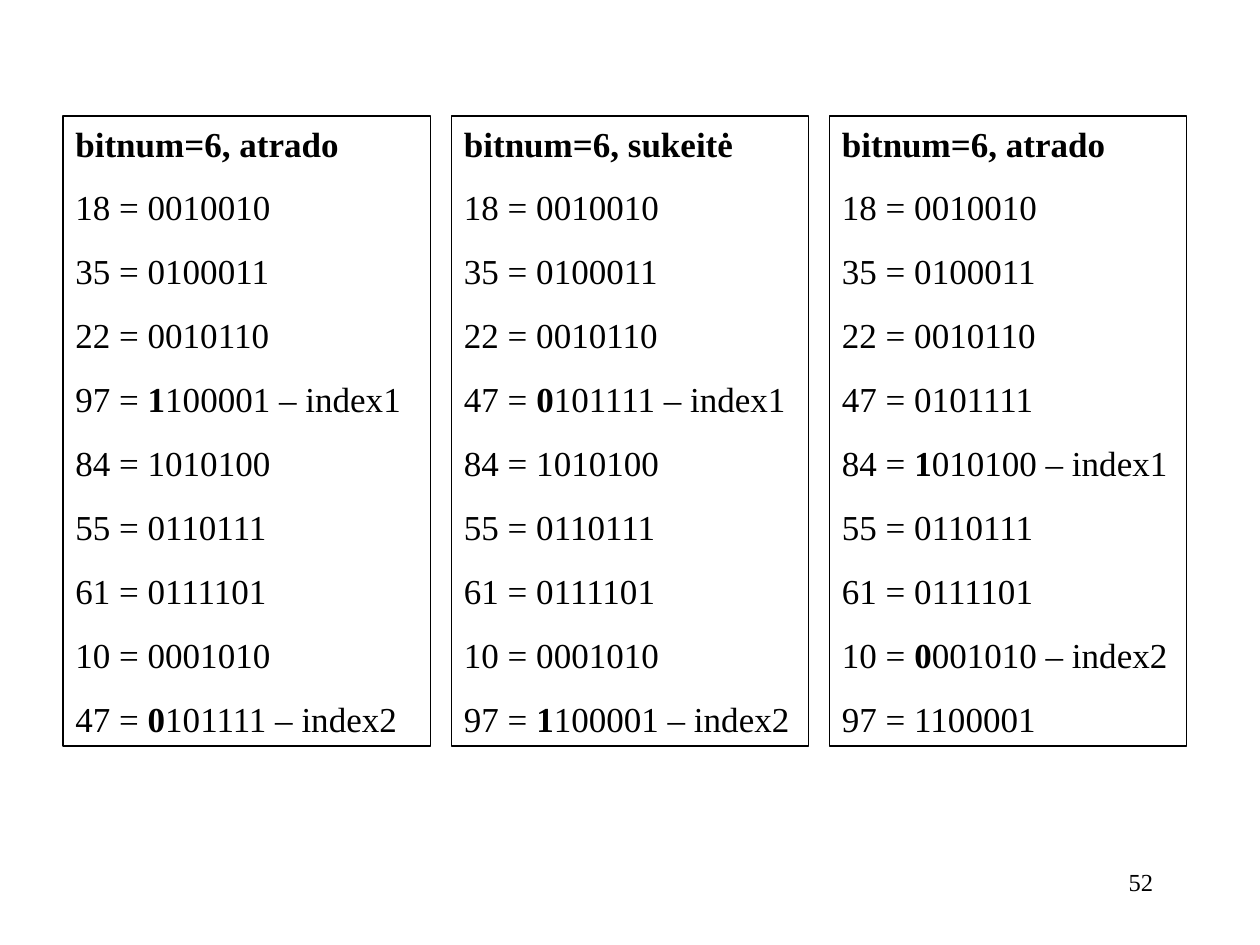
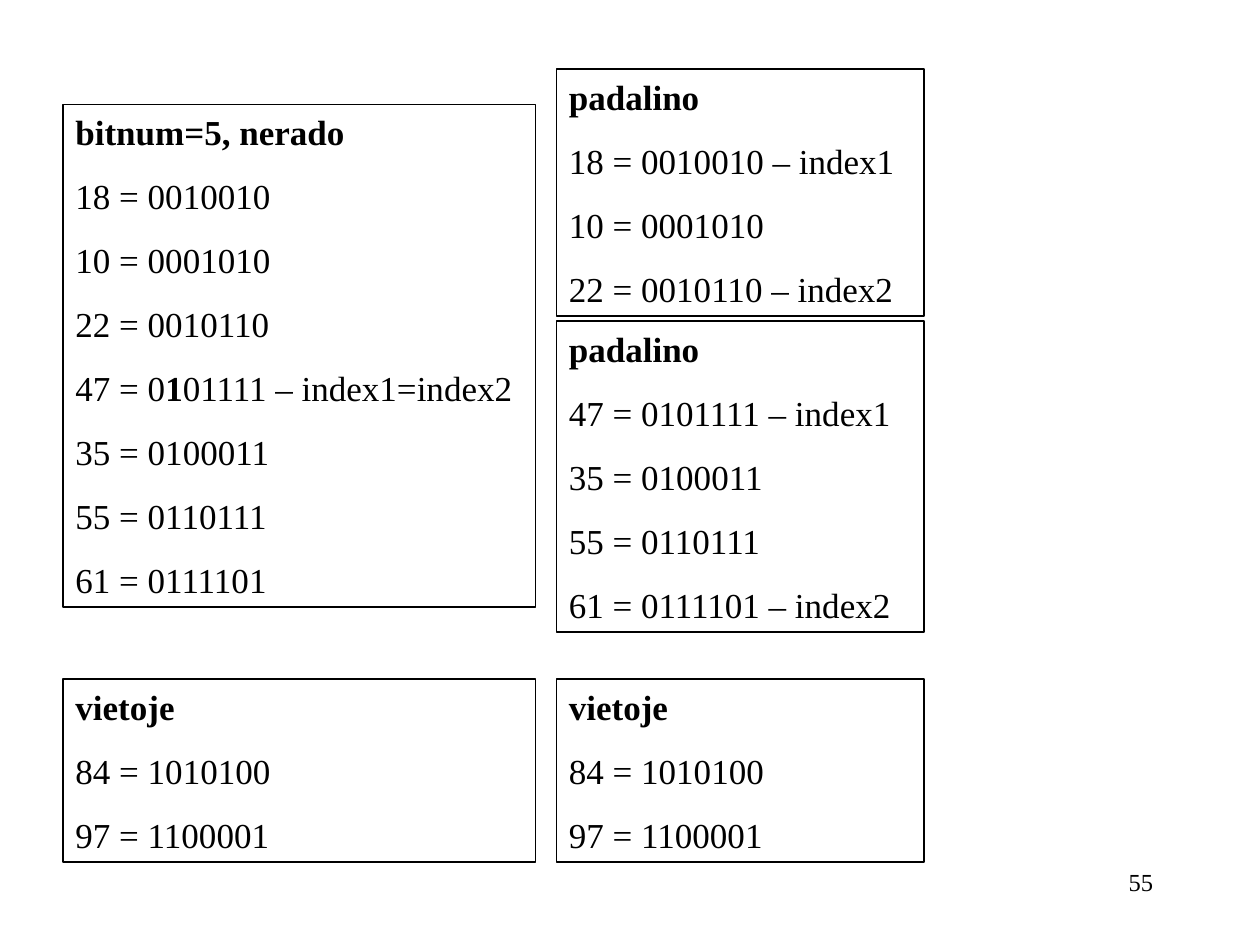
from dataclasses import dataclass

from pptx import Presentation
from pptx.dml.color import RGBColor
from pptx.enum.shapes import MSO_SHAPE
from pptx.enum.text import MSO_ANCHOR, MSO_AUTO_SIZE, PP_ALIGN
from pptx.util import Inches, Pt

RECT = MSO_SHAPE.RECTANGLE
TOP = MSO_ANCHOR.TOP
GROW = MSO_AUTO_SIZE.SHAPE_TO_FIT_TEXT
LEFT, RIGHT = PP_ALIGN.LEFT, PP_ALIGN.RIGHT


@dataclass(frozen=True)
class Theme:
    font: str = "Times New Roman"
    ink: RGBColor = RGBColor(0, 0, 0)
    body: float = 20
    number: float = 14
    before: float = 12.5
    line: float = 1


THEME = Theme()

# Asterisks enclose the bit that is being compared.
PLACED = ["84 = 1010100", "97 = 1100001"]

FOUND = ("bitnum=6, atrado", [
    "18 = 0010010", "35 = 0100011", "22 = 0010110",
    "97 = *1*100001 – index1", "84 = 1010100", "55 = 0110111",
    "61 = 0111101", "10 = 0001010", "47 = *0*101111 – index2"])
SWAPPED = ("bitnum=6, sukeitė", [
    "18 = 0010010", "35 = 0100011", "22 = 0010110",
    "47 = *0*101111 – index1", "84 = 1010100", "55 = 0110111",
    "61 = 0111101", "10 = 0001010", "97 = *1*100001 – index2"])
AGAIN = ("bitnum=6, atrado", [
    "18 = 0010010", "35 = 0100011", "22 = 0010110",
    "47 = 0101111", "84 = *1*010100 – index1", "55 = 0110111",
    "61 = 0111101", "10 = *0*001010 – index2", "97 = 1100001"])
MISSED = ("bitnum=5, nerado", [
    "18 = 0010010", "10 = 0001010", "22 = 0010110",
    "47 = 0*1*01111 – index1=index2", "35 = 0100011",
    "55 = 0110111", "61 = 0111101"])
LOWER = ("padalino", [
    "18 = 0010010 – index1", "10 = 0001010", "22 = 0010110 – index2"])
UPPER = ("padalino", [
    "47 = 0101111 – index1", "35 = 0100011", "55 = 0110111",
    "61 = 0111101 – index2"])
DONE = ("vietoje", PLACED)

# Each slide: its number, then columns of (width, [(top, list), ...]).
SWAP_TOP, DONE_TOP = 0.92, 5.39
SLIDES = [
    ("52", [
        (35 / 12, [(SWAP_TOP, FOUND)]),
        (34 / 12, [(SWAP_TOP, SWAPPED)]),
        (34 / 12, [(SWAP_TOP, AGAIN)])]),
    ("55", [
        (45 / 12, [(0.83, MISSED), (DONE_TOP, DONE)]),
        (35 / 12, [(0.55, LOWER), (2.55, UPPER), (DONE_TOP, DONE)])]),
]

MARGIN, GAP = 0.5, 1 / 6
PITCH, TRIM = 36.5 / 72, 5 / 72


def add_run(para, text, size, bold=False):
    run = para.add_run()
    run.text = text
    font = run.font
    font.name, font.size, font.bold = THEME.font, Pt(size), bold
    font.color.rgb = THEME.ink


def add_box(slide, left, top, width, group):
    """Outline a list; its height follows from the number of lines."""
    title, rows = group
    lines = [f"*{title}*", *rows]
    high = PITCH * len(lines) - TRIM
    box = slide.shapes.add_shape(
        RECT, Inches(left), Inches(top), Inches(width), Inches(high))
    box.shadow.inherit = False
    box.fill.background()
    box.line.color.rgb = THEME.ink
    box.line.width = Pt(THEME.line)
    frame = box.text_frame
    frame.word_wrap = True
    frame.auto_size = GROW
    frame.vertical_anchor = TOP
    for i, line in enumerate(lines):
        para = frame.add_paragraph() if i else frame.paragraphs[0]
        para.alignment = LEFT
        para.space_before = Pt(THEME.before)
        for j, part in enumerate(line.split("*")):
            if part:
                add_run(para, part, THEME.body, bold=j % 2 == 1)


def add_number(slide, number):
    box = slide.shapes.add_textbox(
        Inches(7.17), Inches(6.83), Inches(2.08), Inches(0.5))
    box.text_frame.word_wrap = True
    para = box.text_frame.paragraphs[0]
    para.alignment = RIGHT
    add_run(para, number, THEME.number)


def main():
    deck = Presentation()
    deck.slide_width, deck.slide_height = Inches(10), Inches(7.5)
    blank = deck.slide_layouts[6]
    for number, columns in SLIDES:
        slide = deck.slides.add_slide(blank)
        left = MARGIN
        for width, boxes in columns:
            for top, group in boxes:
                add_box(slide, left, top, width, group)
            left += width + GAP
        add_number(slide, number)
    deck.save("out.pptx")


if __name__ == "__main__":
    main()
